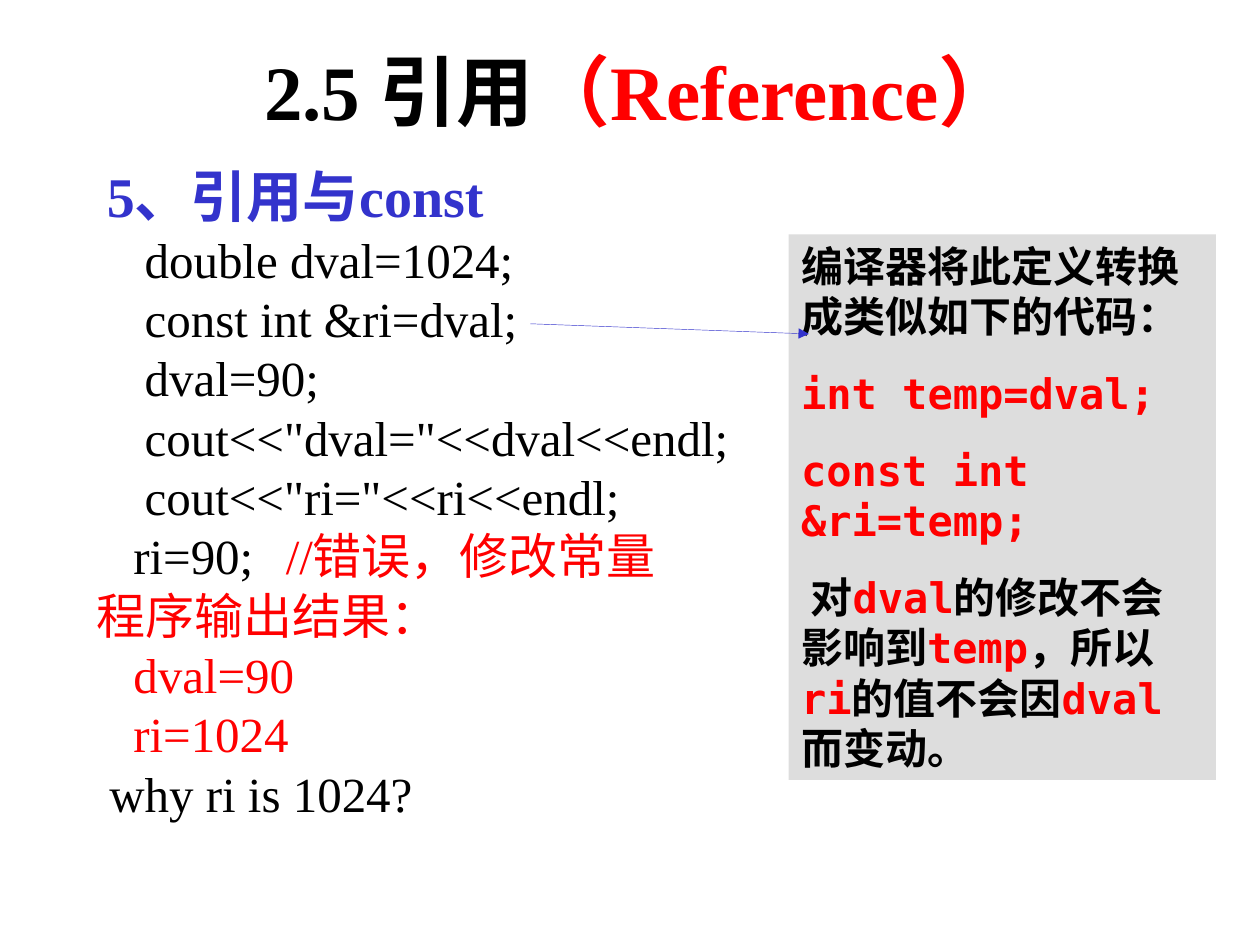
from lxml.etree import SubElement
from pptx import Presentation
from pptx.dml.color import RGBColor
from pptx.enum.shapes import MSO_CONNECTOR, MSO_SHAPE
from pptx.enum.text import MSO_ANCHOR, MSO_AUTO_SIZE, PP_ALIGN
from pptx.oxml.ns import qn
from pptx.util import Inches, Pt

BLACK, RED, BLUE, GRAY = "000000", "FF0000", "3333CC", "DDDDDD"
SERIF, MONO = "Times New Roman", "DejaVu Sans Mono"


def rgb(color):
    return RGBColor.from_string(color)


def write(frame, lines, size, font, bold, before=0):
    """Fill the frame with lines, each a list of (text, color) runs; return the paragraphs."""
    frame.word_wrap = True
    paragraphs = []
    for i, line in enumerate(lines):
        paragraph = frame.add_paragraph() if i else frame.paragraphs[0]
        paragraph.alignment = PP_ALIGN.LEFT
        paragraph.space_before = Pt(before)
        for text, color in line:
            run = paragraph.add_run()
            run.text = text
            run.font.size = Pt(size)
            run.font.name = font
            run.font.bold = bold
            run.font.color.rgb = rgb(color)
        paragraphs.append(paragraph)
    return paragraphs


prs = Presentation()
prs.slide_width, prs.slide_height = Inches(10), Inches(7.5)
slide = prs.slides.add_slide(prs.slide_layouts[6])
shapes = slide.shapes

# Program listing: first-line indent in inches, then the runs
program = [
    (0.38, [("double dval=1024;", BLACK)]),
    (0.38, [("const int &ri=dval;", BLACK)]),
    (0.38, [("dval=90;", BLACK)]),
    (0.38, [('cout<<"dval="<<dval<<endl;', BLACK)]),
    (0.38, [('cout<<"ri="<<ri<<endl;', BLACK)]),
    (0.29, [("ri=90;\t", BLACK), ("//错误，修改常量", RED)]),
    (0, [("程序输出结果：", RED)]),
    (0.29, [("dval=90", RED)]),
    (0.29, [("ri=1024", RED)]),
    (0.1, [("why ri is 1024?", BLACK)]),
]
listing = shapes.add_textbox(Inches(0.67), Inches(1.86), Inches(8.5), Inches(4.74))
code_lines = write(listing.text_frame, [runs for _, runs in program], 28, SERIF, False, before=7)
for code_line, (indent, _) in zip(code_lines, program):
    code_line.line_spacing = 0.8
    properties = code_line._p.get_or_add_pPr()
    properties.set("marL", "0")
    properties.set("indent", str(Inches(indent)))
    stops = SubElement(properties, qn("a:tabLst"))
    SubElement(stops, qn("a:tab"), pos=str(Inches(1.73)), algn="l")

# Explanation of what the compiler does
explanation = shapes.add_shape(
    MSO_SHAPE.RECTANGLE, Inches(6.26), Inches(1.86), Inches(3.39), Inches(4.33))
explanation.shadow.inherit = False
explanation.fill.solid()
explanation.fill.fore_color.rgb = rgb(GRAY)
explanation.line.fill.background()
explanation.text_frame.vertical_anchor = MSO_ANCHOR.TOP
write(explanation.text_frame, [
    [("编译器将此定义转换成类似如下的代码：", BLACK)],
    [("int temp=dval;", RED)],
    [("const int &ri=temp;", RED)],
    [(" 对", BLACK), ("dval", RED), ("的修改不会影响到", BLACK), ("temp", RED),
     ("，所以", BLACK), ("ri", RED), ("的值不会因", BLACK), ("dval", RED),
     ("而变动。", BLACK)],
], 24, MONO, True, before=15)
explanation.text_frame.auto_size = MSO_AUTO_SIZE.SHAPE_TO_FIT_TEXT

# Arrow from the const reference to its explanation
arrow = shapes.add_connector(
    MSO_CONNECTOR.STRAIGHT, Inches(4.21), Inches(2.57), Inches(6.42), Inches(2.65))
arrow.line.color.rgb = rgb(BLUE)
arrow.line.width = Pt(0.25)
SubElement(arrow.line._get_or_add_ln(), qn("a:tailEnd"), type="triangle")
SubElement(arrow._element.spPr, qn("a:effectLst"))

title = shapes.add_textbox(Inches(0.83), Inches(0.28), Inches(8.5), Inches(0.87))
title.text_frame.vertical_anchor = MSO_ANCHOR.MIDDLE
title_line, = write(
    title.text_frame, [[("2.5 引用", BLACK), ("（Reference）", RED)]], 44, SERIF, True)
title_line.alignment = PP_ALIGN.CENTER

heading = shapes.add_textbox(Inches(0.75), Inches(1.23), Inches(4.09), Inches(0.64))
write(heading.text_frame, [[("5、引用与const", BLUE)]], 32, SERIF, True, before=20)
heading.text_frame.auto_size = MSO_AUTO_SIZE.SHAPE_TO_FIT_TEXT

prs.save("out.pptx")
